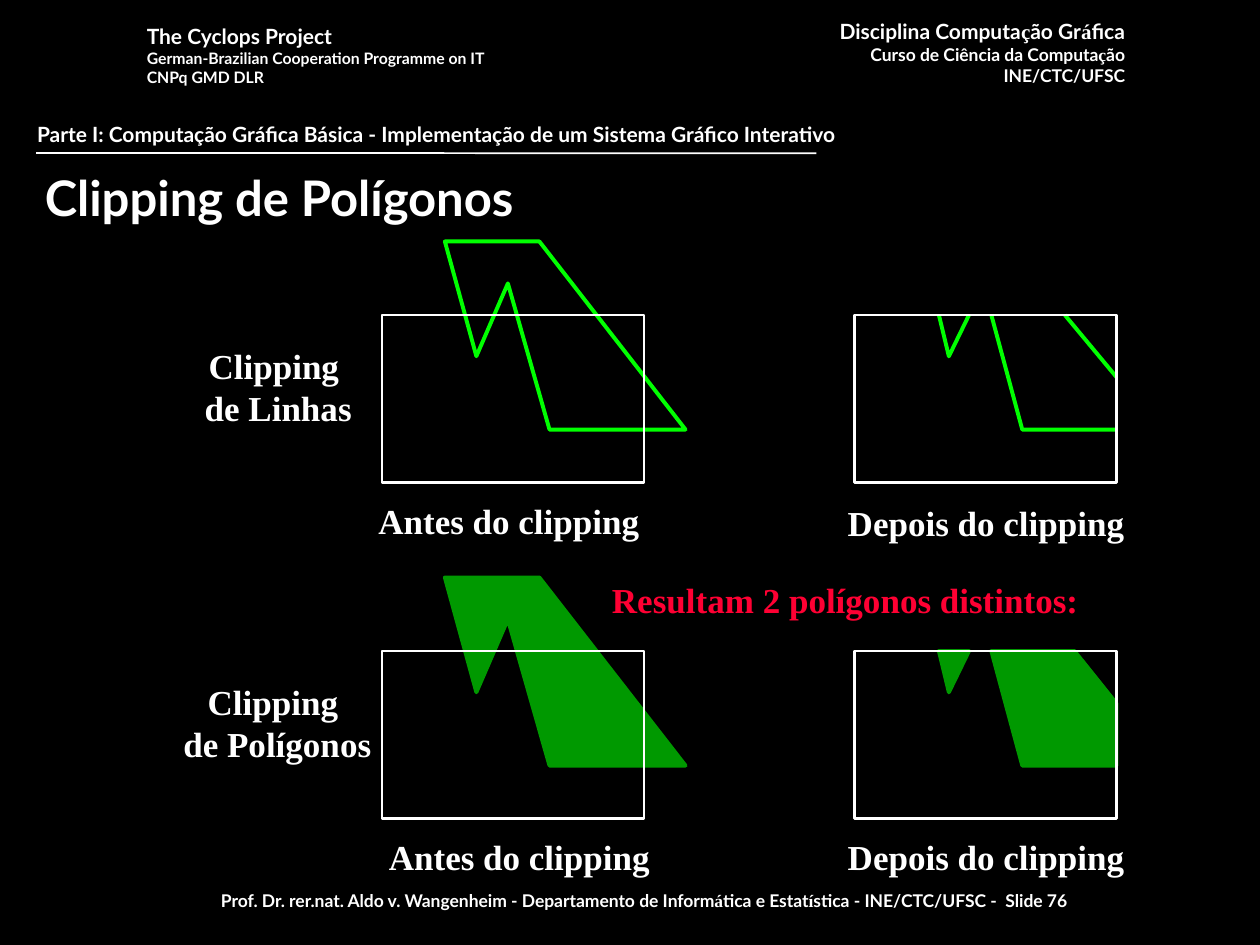
from lxml.etree import SubElement
from pptx import Presentation
from pptx.dml.color import RGBColor
from pptx.enum.shapes import MSO_CONNECTOR, MSO_SHAPE
from pptx.enum.text import MSO_ANCHOR, MSO_AUTO_SIZE as AutoSize, PP_ALIGN
from pptx.oxml.ns import qn
from pptx.util import Pt

COLORS = {
    "background": "000000",
    "white": "FFFFFF",
    "outline": "00FF00",
    "filled": "009900",
    "result": "FF0033",
}
LEFT, CENTER, RIGHT = PP_ALIGN.LEFT, PP_ALIGN.CENTER, PP_ALIGN.RIGHT
SANS, SERIF = "Lato", "Times New Roman"
ROW_STEP = 192

presentation = Presentation()
presentation.slide_width = Pt(720)
presentation.slide_height = Pt(540)
slide = presentation.slides.add_slide(presentation.slide_layouts[6])
slide.background.fill.solid()
slide.background.fill.fore_color.rgb = RGBColor.from_string(COLORS["background"])


def add_text(box, lines, align, wrap=False, font=SANS, color="white"):
    shape = slide.shapes.add_textbox(*[Pt(value) for value in box])
    frame = shape.text_frame
    frame.word_wrap = wrap
    frame.auto_size = AutoSize.SHAPE_TO_FIT_TEXT
    for index, (size, runs) in enumerate(lines):
        paragraph = frame.paragraphs[0] if index == 0 else frame.add_paragraph()
        paragraph.alignment = align
        for position, text in enumerate(runs):
            run = paragraph.add_run()
            run.text = text
            run.font.name = SERIF if position % 2 else font
            run.font.size = Pt(size)
            run.font.bold = True
            run.font.color.rgb = RGBColor.from_string(COLORS[color])
    return frame


def add_path(points, color, closed, filled, offset=0):
    corners = [(Pt(x), Pt(y + offset)) for x, y in points]
    builder = slide.shapes.build_freeform(*corners[0])
    builder.add_line_segments(corners[1:], close=closed)
    shape = builder.convert_to_shape()
    shape.shadow.inherit = False
    if filled:
        shape.fill.solid()
        shape.fill.fore_color.rgb = RGBColor.from_string(COLORS[color])
    else:
        shape.fill.background()
    shape.line.color.rgb = RGBColor.from_string(COLORS[color])
    shape.line.width = Pt(2.25)


add_text((454, 7, 196, 46), [
    (12, ["Disciplina Computa", "ç", "ão Gr", "á", "fica"]),
    (10, ["Curso de Ciência da Computa", "ç", "ão"]),
    (10, ["INE/CTC/UFSC"]),
], RIGHT)
add_text((76.8, 10, 231, 43), [
    (12, ["The Cyclops Project"]),
    (9, ["German-Brazilian Cooperation Programme on IT"]),
    (9, ["CNPq GMD DLR"]),
], LEFT)
add_text((50, 505, 636, 21), [
    (10, ["Prof. Dr. rer.nat. Aldo v. Wangenheim - Departamento de Inform", "á",
          "tica e Estat", "í", "stica - INE/CTC/UFSC -  Slide 76"]),
], CENTER, wrap=True)
add_text((14.1, 65.8, 684, 22), [
    (12, ["Parte I: Computação Gráfica Básica - Implementação de um Sistema Gráfico Interativo"]),
], LEFT, wrap=True)
title = add_text((18.5, 92, 647, 41), [(28, ["Clipping de Polígonos"])], LEFT, wrap=True)
title.auto_size = AutoSize.NONE
title.vertical_anchor = MSO_ANCHOR.MIDDLE

polygon = [(254.2, 138), (308.2, 138), (391.7, 245.5), (314, 245.5), (290.2, 162), (272.2, 203.6)]
notch = [(536.5, 180), (542.2, 203.6), (553.7, 180)]
clipped_edges = [(566.5, 180), (584.2, 245.5), (638, 245.5)]
clipped_body = clipped_edges + [(638, 210), (614, 180)]

add_path(polygon, "outline", closed=True, filled=False)
add_path(notch, "outline", closed=False, filled=False)
add_path(clipped_edges, "outline", closed=False, filled=False)
for shape_points in (polygon, clipped_body, notch):
    add_path(shape_points, "filled", closed=True, filled=True, offset=ROW_STEP)

for start_x, start_y, end_x, end_y, color, width in (
    (20.7, 87.4, 466.5, 87.6, "white", 1),
    (608.5, 180, 638, 215.5, "outline", 2.25),
):
    connector = slide.shapes.add_connector(
        MSO_CONNECTOR.STRAIGHT, Pt(start_x), Pt(start_y), Pt(end_x), Pt(end_y))
    connector.line.color.rgb = RGBColor.from_string(COLORS[color])
    connector.line.width = Pt(width)
    SubElement(connector._element.spPr, qn("a:effectLst"))

for row in range(2):
    for left in (218.2, 488.3):
        window = slide.shapes.add_shape(
            MSO_SHAPE.RECTANGLE, Pt(left), Pt(180 + row * ROW_STEP), Pt(149.8), Pt(95.6))
        window.shadow.inherit = False
        window.fill.background()
        window.line.color.rgb = RGBColor.from_string(COLORS["white"])
        window.line.width = Pt(1.5)

for box, lines in (
    ((107, 193.4, 104, 55.5), ["Clipping ", "de Linhas"]),
    ((206.8, 282, 168, 31.5), ["Antes do clipping"]),
    ((474.5, 283, 178, 31.5), ["Depois do clipping"]),
    ((94.5, 385.4, 128, 55.5), ["Clipping ", "de Polígonos"]),
    ((212.8, 474, 168, 31.5), ["Antes do clipping"]),
    ((474.5, 474, 178, 31.5), ["Depois do clipping"]),
):
    add_text(box, [(20, [line]) for line in lines], CENTER, font=SERIF)
add_text((342.5, 327, 281, 31.5), [(20, ["Resultam 2 polígonos distintos:"])],
         CENTER, wrap=True, font=SERIF, color="result")

presentation.save("out.pptx")
